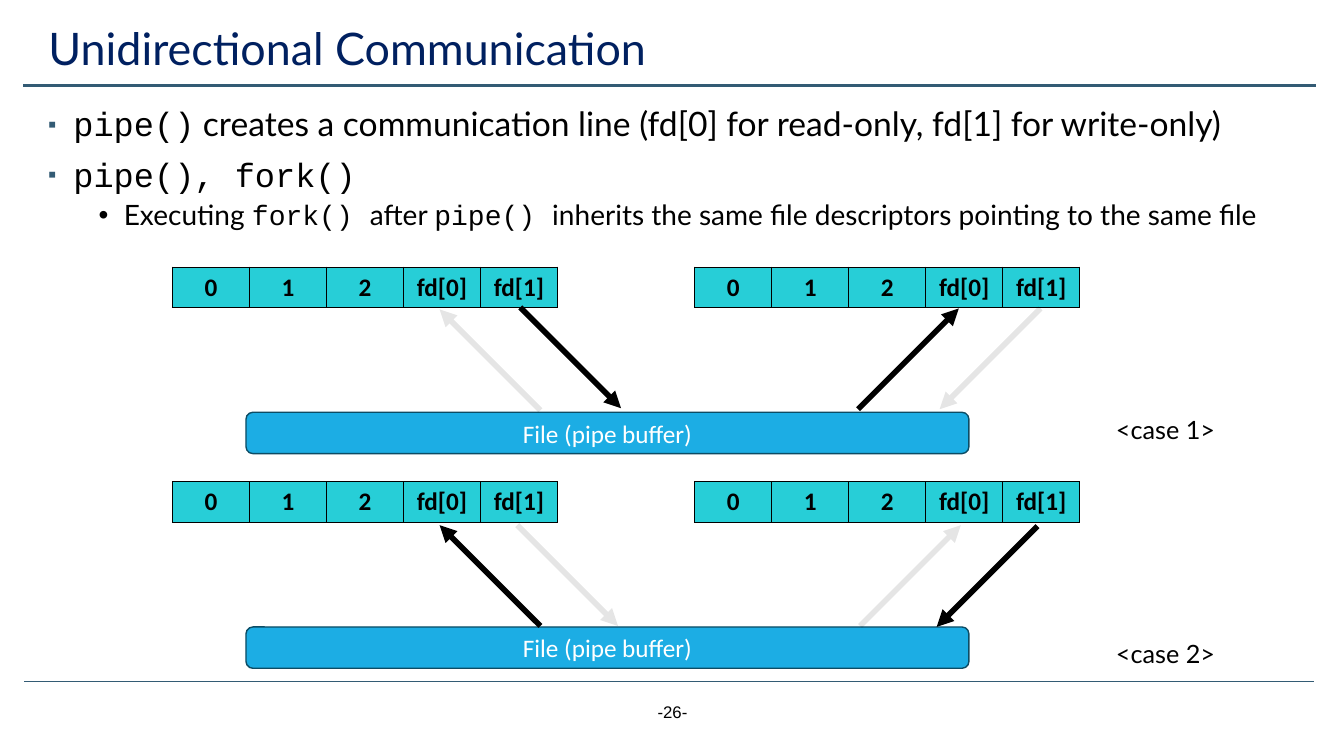
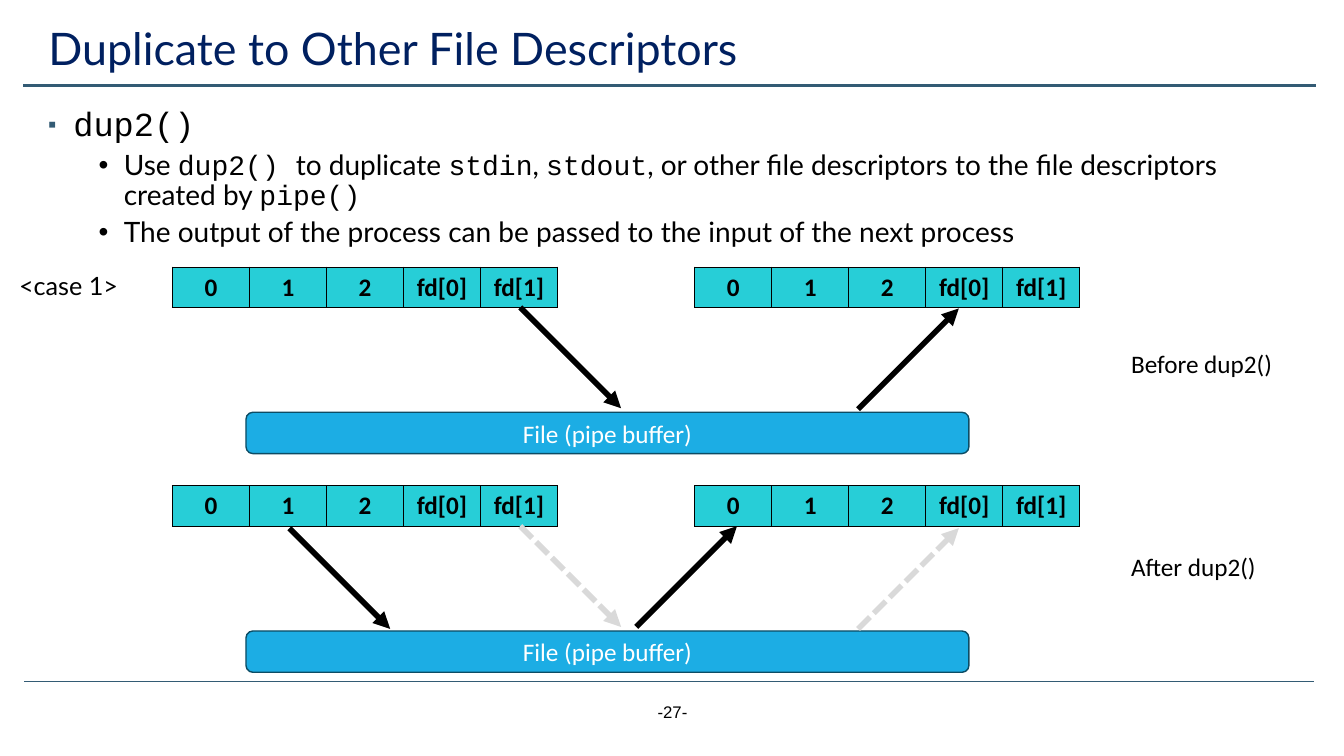
import lxml.etree
import pptx
import pptx.dml.color
import pptx.enum.dml
import pptx.enum.shapes
import pptx.enum.text
import pptx.oxml.ns
import pptx.util

PX = 9144  # 100 px to the inch
qn = pptx.oxml.ns.qn
Pt = pptx.util.Pt
sub = lxml.etree.SubElement
ALIGN = pptx.enum.text.PP_ALIGN
ANCHOR = pptx.enum.text.MSO_ANCHOR
SHAPES = pptx.enum.shapes

COLORS = {"rule": "335B74", "title": "002060", "text": "000000", "paper": "FFFFFF",
          "cell": "27CED7", "buffer": "1CADE4", "buffer_edge": "0C4C64", "gone": "D9D9D9"}
RGB = {name: pptx.dml.color.RGBColor.from_string(value) for name, value in COLORS.items()}

TITLE = {"name": "Lato", "size": Pt(32), "bold": False}
PAGE = {"name": "Arial", "size": Pt(12)}
CELL = {"name": "Calibri", "size": Pt(18), "bold": True}
LABEL = {"name": "Calibri", "size": Pt(18)}
CASE = {"name": "Lato", "size": Pt(18)}

BULLETS = [
    {"size": 24, "before": 10, "margin": 25, "char": "▪"},
    {"size": 20, "before": 5, "margin": 75, "char": "•"},
]
ARROWS = {
    "live": {"color": "text"},
    "faint": {"color": "text", "alpha": 10},
    "dashed": {"color": "gone", "dash": pptx.enum.dml.MSO_LINE.SQUARE_DOT},
}
ARROW_SPAN = 100
TABLE_LEFTS = (171, 689)
TABLE_W, TABLE_H = 382, 40
DESCRIPTORS = ["0", "1", "2", "fd[0]", "fd[1]"]
BUFFER_DROP = 144

# Bullets: (level, text with code between backticks).
# Diagrams: table top -> arrows (kind, start x, start y below the top, x step, y step).
# Labels: (format, left, top, width, text).
SLIDES = [
    {
        "title": "Unidirectional Communication",
        "bullets": [
            (0, "`pipe()` creates a communication line (fd[0] for read-only, fd[1] for write-only)"),
            (0, "`pipe(), fork()`"),
            (1, "Executing `fork() `after `pipe() `inherits the same file descriptors "
                "pointing to the same file"),
        ],
        "diagrams": {
            265: [("live", 516, 40, 1, 1), ("faint", 1032, 41, -1, 1),
                  ("live", 851, 141, 1, -1), ("faint", 536, 142, -1, -1)],
            478: [("live", 1029, 44, -1, 1), ("live", 536, 143, -1, -1),
                  ("faint", 513, 43, 1, 1), ("faint", 853, 143, 1, -1)],
        },
        "labels": [(CASE, 1097, 406, 128, "<case 1>"), (CASE, 1097, 628, 128, "<case 2>")],
    },
    {
        "title": "Duplicate to Other File Descriptors",
        "bullets": [
            (0, "`dup2()`"),
            (1, "Use `dup2() `to duplicate `stdin`, `stdout`, or other file descriptors "
                "to the file descriptors created by `pipe()`"),
            (1, "The output of the process can be passed to the input of the next process"),
        ],
        "diagrams": {
            265: [("live", 516, 40, 1, 1), ("live", 851, 141, 1, -1)],
            482: [("dashed", 516, 40, 1, 1), ("dashed", 851, 142, 1, -1),
                  ("live", 287, 42, 1, 1), ("live", 631, 140, 1, -1)],
        },
        "labels": [(LABEL, 1112, 341, 162, "Before dup2()"),
                   (LABEL, 1112, 542, 152, "After dup2()"),
                   (CASE, 9, 263, 128, "<case 1>")],
    },
]


def add_run(p, text, fmt, color="text"):
    r = p.add_run()
    r.text = text
    for key, value in fmt.items():
        setattr(r.font, key, value)
    r.font.color.rgb = RGB[color]


def add_line(s, x1, y1, x2, y2, color, weight):
    """Draw a straight line without a shadow and return it with its a:ln element."""
    cx = s.shapes.add_connector(SHAPES.MSO_CONNECTOR.STRAIGHT,
                                x1 * PX, y1 * PX, x2 * PX, y2 * PX)
    cx.line.color.rgb = RGB[color]
    cx.line.width = Pt(weight)
    sp_pr = cx._element.spPr
    sub(sp_pr, qn("a:effectLst"))
    return cx, sp_pr.find(qn("a:ln"))


prs = pptx.Presentation()
prs.slide_width, prs.slide_height = 1333 * PX, 750 * PX

for number, content in enumerate(SLIDES, start=26):
    s = prs.slides.add_slide(prs.slide_layouts[5])

    # Title, rules and page number
    title = s.shapes.title
    title.left, title.top, title.width, title.height = 38 * PX, 19 * PX, 1243 * PX, 63 * PX
    tf = title.text_frame
    tf.vertical_anchor = ANCHOR.MIDDLE
    tf.auto_size = pptx.enum.text.MSO_AUTO_SIZE.NONE
    p = tf.paragraphs[0]
    p.alignment, p.line_spacing = ALIGN.LEFT, 0.9
    add_run(p, content["title"], TITLE, "title")

    add_line(s, 24, 676, 1303, 676, "rule", 0.5)
    add_line(s, 23, 85, 1305, 85, "rule", 1.75)

    page = s.shapes.add_textbox(517 * PX, 691 * PX, 300 * PX, 40 * PX)
    page.text_frame.word_wrap = True
    p = page.text_frame.paragraphs[0]
    p.alignment = ALIGN.CENTER
    add_run(p, f"-{number}-", PAGE)

    # Bullets
    body = s.shapes.add_textbox(38 * PX, 102 * PX, 1243 * PX, 562 * PX)
    body.fill.solid()
    body.fill.fore_color.rgb = RGB["paper"]
    tf = body.text_frame
    tf.word_wrap = True
    for i, (level, text) in enumerate(content["bullets"]):
        p = tf.add_paragraph() if i else tf.paragraphs[0]
        style = BULLETS[level]
        p.level, p.line_spacing, p.space_before = level, 0.9, Pt(style["before"])
        p_pr = p._p.get_or_add_pPr()
        p_pr.set("marL", str(style["margin"] * PX))
        p_pr.set("indent", str(-25 * PX))
        if level == 0:
            sub(sub(p_pr, qn("a:buClr")), qn("a:srgbClr"), val=COLORS["rule"])
            sub(p_pr, qn("a:buSzPct"), val="70000")
        sub(p_pr, qn("a:buFont"), typeface="Arial")
        sub(p_pr, qn("a:buChar"), char=style["char"])
        for j, part in enumerate(text.split("`")):
            if part:
                font = "Courier New" if j % 2 else "Lato"
                add_run(p, part, {"name": font, "size": Pt(style["size"])})

    # Descriptor tables, pipe buffer and arrows
    for top, arrows in content["diagrams"].items():
        for left in TABLE_LEFTS:
            table = s.shapes.add_table(1, len(DESCRIPTORS), left * PX, top * PX,
                                       TABLE_W * PX, TABLE_H * PX).table
            table.first_row = table.horz_banding = False
            for col, text in enumerate(DESCRIPTORS):
                table.columns[col].width = TABLE_W * PX // len(DESCRIPTORS)
                cell = table.cell(0, col)
                tc_pr = cell._tc.get_or_add_tcPr()
                for side in ("lnL", "lnR", "lnT", "lnB"):
                    ln = sub(tc_pr, qn(f"a:{side}"), w=str(Pt(1)))
                    sub(sub(ln, qn("a:solidFill")), qn("a:srgbClr"), val=COLORS["text"])
                cell.fill.solid()
                cell.fill.fore_color.rgb = RGB["cell"]
                p = cell.text_frame.paragraphs[0]
                p.alignment = ALIGN.CENTER
                add_run(p, text, CELL)

        buffer = s.shapes.add_shape(SHAPES.MSO_SHAPE.ROUNDED_RECTANGLE, 244 * PX,
                                    (top + BUFFER_DROP) * PX, 717 * PX, 41 * PX)
        buffer.shadow.inherit = False
        buffer.fill.solid()
        buffer.fill.fore_color.rgb = RGB["buffer"]
        buffer.line.color.rgb = RGB["buffer_edge"]
        buffer.line.width = Pt(1)
        buffer.text_frame.vertical_anchor = ANCHOR.MIDDLE
        p = buffer.text_frame.paragraphs[0]
        p.alignment = ALIGN.CENTER
        add_run(p, "File (pipe buffer)", LABEL, "paper")

        for kind, x, drop, dx, dy in arrows:
            style = ARROWS[kind]
            y = top + drop
            cx, ln = add_line(s, x, y, x + dx * ARROW_SPAN, y + dy * ARROW_SPAN,
                              style["color"], 4)
            if "dash" in style:
                cx.line.dash_style = style["dash"]
            if "alpha" in style:
                sub(ln.find(".//" + qn("a:srgbClr")), qn("a:alpha"),
                    val=str(style["alpha"] * 1000))
            sub(ln, qn("a:tailEnd"), type="triangle")

    # Labels beside the diagrams
    for fmt, left, top, width, text in content["labels"]:
        label = s.shapes.add_textbox(left * PX, top * PX, width * PX, 40 * PX)
        label.text_frame.word_wrap = False
        label.text_frame.auto_size = pptx.enum.text.MSO_AUTO_SIZE.SHAPE_TO_FIT_TEXT
        add_run(label.text_frame.paragraphs[0], text, fmt)

prs.save("out.pptx")
